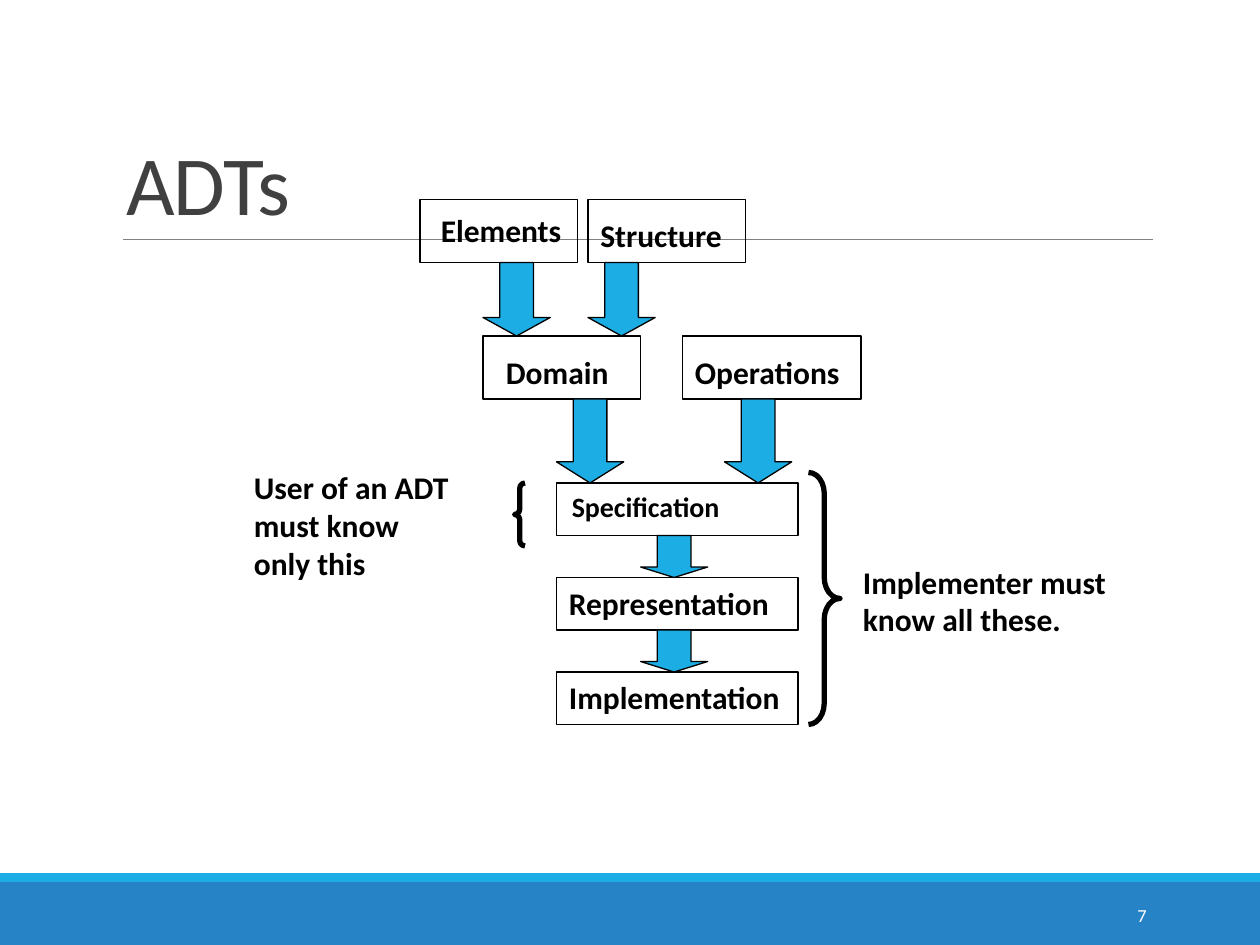
"""Build the ADTs slide: a flow from domain and operations to implementation."""
from lxml import etree
from pptx import Presentation
from pptx.dml.color import RGBColor
from pptx.enum.shapes import MSO_CONNECTOR, MSO_SHAPE
from pptx.enum.text import MSO_ANCHOR, MSO_AUTO_SIZE, PP_ALIGN
from pptx.oxml.ns import qn
from pptx.util import Pt

RECTANGLE = MSO_SHAPE.RECTANGLE
DOWN_ARROW = MSO_SHAPE.DOWN_ARROW
LEFT_BRACE = MSO_SHAPE.LEFT_BRACE
RIGHT_BRACE = MSO_SHAPE.RIGHT_BRACE
STRAIGHT = MSO_CONNECTOR.STRAIGHT
TOP, MIDDLE, BOTTOM = MSO_ANCHOR.TOP, MSO_ANCHOR.MIDDLE, MSO_ANCHOR.BOTTOM
LEFT, RIGHT = PP_ALIGN.LEFT, PP_ALIGN.RIGHT
NO_AUTOFIT = MSO_AUTO_SIZE.NONE

COLORS = {
    "footer": "2683C6",
    "accent": "1CADE4",
    "rule": "808080",
    "title": "404040",
    "ink": "000000",
    "white": "FFFFFF",
}
LABEL = {"name": "Calibri", "size": Pt(18), "bold": True}


def add_figure(kind, bounds, fill=None, line_width=None, adjustments=()):
    """Add a preset shape with optional fill, outline and adjustments."""
    shape = slide.shapes.add_shape(kind, *map(Pt, bounds))
    shape.shadow.inherit = False
    for index, value in enumerate(adjustments):
        shape.adjustments[index] = value
    if fill:
        shape.fill.solid()
        shape.fill.fore_color.rgb = RGBColor.from_string(COLORS[fill])
    else:
        shape.fill.background()
    if line_width:
        shape.line.width = Pt(line_width)
        shape.line.color.rgb = RGBColor.from_string(COLORS["ink"])
    else:
        shape.line.fill.background()


def write_text(shape, lines, font_format, color="ink", anchor=TOP, align=LEFT, wrap=False):
    """Fill a shape with one formatted paragraph per line."""
    frame = shape.text_frame
    frame.text = "\n".join(lines)
    frame.auto_size = NO_AUTOFIT
    frame.word_wrap = wrap
    frame.vertical_anchor = anchor
    for paragraph in frame.paragraphs:
        paragraph.alignment = align
        font = paragraph.runs[0].font
        font.color.rgb = RGBColor.from_string(COLORS[color])
        for attribute, value in font_format.items():
            setattr(font, attribute, value)


presentation = Presentation()
presentation.slide_width, presentation.slide_height = Pt(720), Pt(540)
slide = presentation.slides.add_slide(presentation.slide_layouts[5])

add_figure(RECTANGLE, (0, 504, 720, 36), "footer")
add_figure(RECTANGLE, (0, 499, 720, 5), "accent")
rule = slide.shapes.add_connector(STRAIGHT, Pt(70.5), Pt(136.8), Pt(659), Pt(136.8))
rule.line.width = Pt(0.5)
rule.line.color.rgb = RGBColor.from_string(COLORS["rule"])
etree.SubElement(rule.element.spPr, qn("a:effectLst"))

title = slide.shapes.title
title.left, title.top, title.width, title.height = Pt(64.8), Pt(22.5), Pt(594), Pt(114.3)
write_text(title, ["ADTs"], {"name": "Calibri", "size": Pt(48)}, "title", BOTTOM, wrap=True)
title_paragraph = title.text_frame.paragraphs[0]
title_paragraph.line_spacing = 0.85
title_paragraph.runs[0].font._element.set("spc", "-50")

page_number = slide.shapes.add_textbox(Pt(584.6), Pt(508.5), Pt(77.7), Pt(28.75))
write_text(page_number, ["7"], {"name": "Calibri", "size": Pt(10.5)}, "white", MIDDLE, RIGHT, True)

boxes = [
    (240, 114, 90, 36),
    (336, 114, 90, 36),
    (276, 192, 90, 36),
    (390, 192, 102, 36),
    *[(318, top, 138, 30) for top in (276, 330, 384)],
]
for bounds in boxes:
    add_figure(RECTANGLE, bounds, line_width=0.75)

arrow_rows = [
    ((276, 336), 150, 42, 0.275),
    ((318, 414), 228, 48, 0.314),
    ((366,), 306, 24, 0.25),
    ((366,), 360, 24, 0.25),
]
for lefts, top, height, head in arrow_rows:
    for left in lefts:
        add_figure(DOWN_ARROW, (left, top, 38.4, height), "accent", 0.75, (0.5, head))

add_figure(LEFT_BRACE, (294, 276, 6, 36), line_width=3, adjustments=(0.5, 0.5))
add_figure(RIGHT_BRACE, (462, 270, 18, 144), line_width=3, adjustments=(0.667, 0.5))

labels = [
    (["Elements"], (244.8, 116.8, 86, 29), 18),
    (["Structure"], (336, 120, 89, 29), 18),
    (["Domain"], (282, 198, 76, 29), 18),
    (["Operations"], (390, 198, 101, 29), 18),
    (["Specification"], (319.7, 276, 136, 27), 16),
    (["Representation"], (318, 330, 132, 29), 18),
    (["Implementation"], (318, 384, 137.5, 29), 18),
    (["User of an ADT", "must know", "only this"], (138, 264, 136, 72), 18),
    (["Implementer must", "know all these."], (486, 318, 157, 50.4), 18),
]
for lines, bounds, size in labels:
    text_box = slide.shapes.add_textbox(*map(Pt, bounds))
    write_text(text_box, lines, {**LABEL, "size": Pt(size)})

presentation.save("out.pptx")
